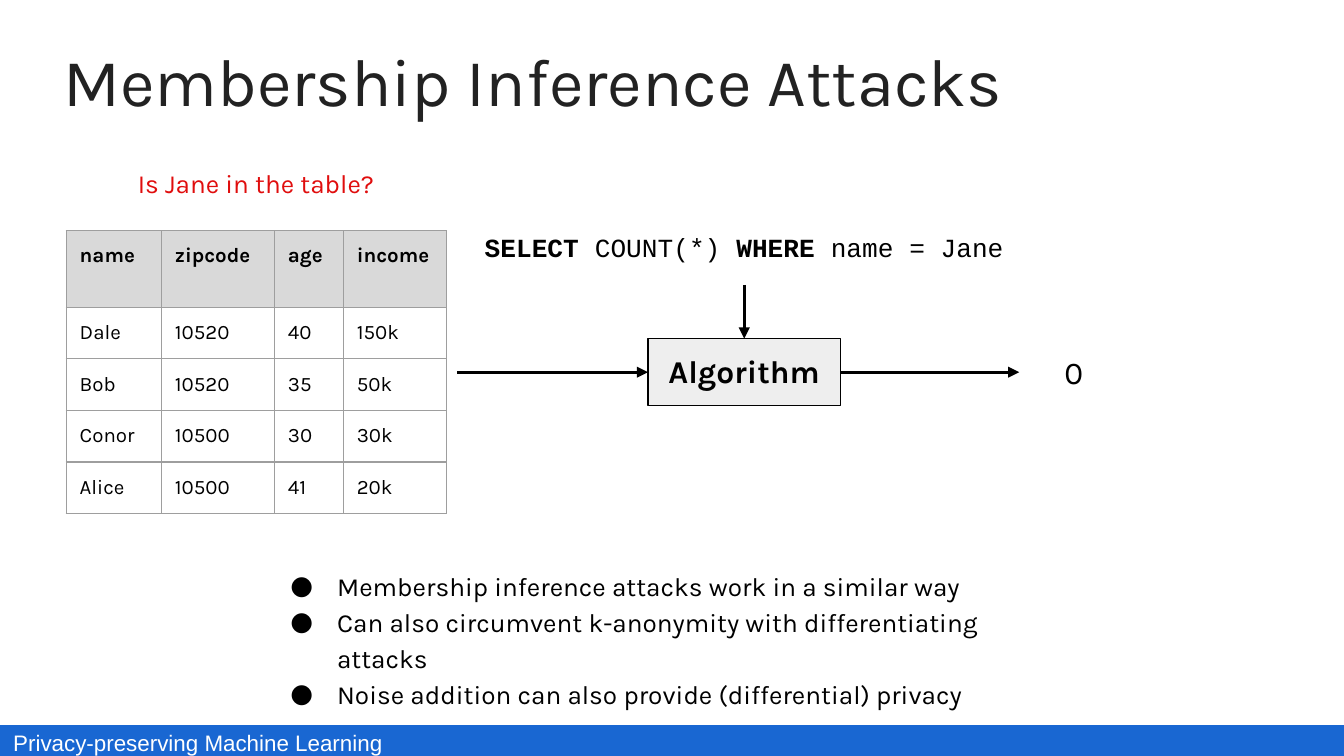
from dataclasses import dataclass

from lxml.etree import SubElement
from pptx import Presentation
from pptx.dml.color import RGBColor
from pptx.enum.shapes import MSO_CONNECTOR as Connector, MSO_SHAPE as Shape
from pptx.enum.text import MSO_ANCHOR as Anchor, PP_ALIGN as Align
from pptx.oxml.ns import qn
from pptx.util import Pt


@dataclass(frozen=True)
class Theme:
    body: str = "Karla"
    code: str = "Courier New"
    footer: str = "Arial"
    black: str = "000000"
    white: str = "FFFFFF"
    title_color: str = "222222"
    question_color: str = "E00D0D"
    footer_fill: str = "1967D2"
    box_fill: str = "EEEEEE"
    header_fill: str = "D9D9D9"
    grid: str = "9E9E9E"
    title_size: float = 36
    box_size: float = 17
    text_size: float = 14
    footer_size: float = 12
    table_size: float = 11
    inset: float = 7.2
    thin: float = 0.75
    arrow: float = 1.5


THEME = Theme()

TITLE = "Membership Inference Attacks"
FOOTER = "Privacy-preserving Machine Learning"
QUESTION = "Is Jane in the table?"
QUERY = [("SELECT ", True), ("COUNT(*)", False), (" WHERE ", True), ("name = Jane", False)]
PEOPLE = [
    ("name", "zipcode", "age", "income"),
    ("Dale", "10520", "40", "150k"),
    ("Bob", "10520", "35", "50k"),
    ("Conor", "10500", "30", "30k"),
    ("Alice", "10500", "41", "20k"),
]
POINTS = [
    "Membership inference attacks work in a similar way",
    "Can also circumvent k-anonymity with differentiating attacks",
    "Noise addition can also provide (differential) privacy",
]

SLIDE_WIDTH, SLIDE_HEIGHT = 720, 405
FOOTER_HEIGHT = 16.2
TABLE_LEFT, TABLE_TOP = 35.5, 123.6
COLUMN_WIDTHS = [51, 60.6, 36.9, 55.3]
HEADER_HEIGHT, ROW_HEIGHT = 41, 27.5
BOX = (347.2, 181.4, 103, 36)


def color(value):
    return RGBColor.from_string(value)


def format_run(run, size, font=THEME.body, ink=THEME.black, bold=False):
    run.font.size = Pt(size)
    run.font.name = font
    run.font.color.rgb = color(ink)
    run.font.bold = bold


def set_margins(target):
    """Give a text frame or a table cell the same inset on all sides."""
    target.margin_left = target.margin_right = Pt(THEME.inset)
    target.margin_top = target.margin_bottom = Pt(THEME.inset)


def write(shape, lines, size, align=Align.LEFT, anchor=Anchor.TOP, spacing=None, **style):
    """Fill a shape with paragraphs; each line is a list of (text, bold) runs."""
    frame = shape.text_frame
    frame.word_wrap = True
    frame.vertical_anchor = anchor
    set_margins(frame)
    for index, runs in enumerate(lines):
        paragraph = frame.add_paragraph() if index else frame.paragraphs[0]
        paragraph.alignment = align
        if spacing:
            paragraph.line_spacing = spacing
        for text, bold in runs:
            run = paragraph.add_run()
            run.text = text
            format_run(run, size, bold=bold, **style)
    return frame


def add_text(slide, place, lines, size, **options):
    return write(slide.shapes.add_textbox(*map(Pt, place)), lines, size, **options)


def add_rectangle(slide, place, fill, line):
    shape = slide.shapes.add_shape(Shape.RECTANGLE, *map(Pt, place))
    shape.shadow.inherit = False
    shape.fill.solid()
    shape.fill.fore_color.rgb = color(fill)
    shape.line.color.rgb = color(line)
    shape.line.width = Pt(THEME.thin)
    return shape


def add_arrow(slide, *ends):
    arrow = slide.shapes.add_connector(Connector.STRAIGHT, *map(Pt, ends))
    arrow.line.color.rgb = color(THEME.black)
    arrow.line.width = Pt(THEME.arrow)
    SubElement(arrow.line._get_or_add_ln(), qn("a:tailEnd"), type="triangle")
    SubElement(arrow._element.spPr, qn("a:effectLst"))


def add_bullet(paragraph):
    properties = paragraph._p.get_or_add_pPr()
    properties.set("marL", str(Pt(36)))
    properties.set("indent", str(Pt(-25)))
    bullet_color = SubElement(properties, qn("a:buClr"))
    SubElement(bullet_color, qn("a:srgbClr"), val=THEME.black)
    SubElement(properties, qn("a:buFont"), typeface=THEME.body)
    SubElement(properties, qn("a:buChar"), char="●")


def add_borders(cell):
    """Draw all four borders; they must come before the cell's fill."""
    properties = cell._tc.get_or_add_tcPr()
    for side in ("lnL", "lnR", "lnT", "lnB"):
        border = SubElement(properties, qn(f"a:{side}"), w=str(Pt(THEME.thin)))
        fill = SubElement(border, qn("a:solidFill"))
        SubElement(fill, qn("a:srgbClr"), val=THEME.grid)


def add_people_table(slide):
    heights = [HEADER_HEIGHT] + [ROW_HEIGHT] * (len(PEOPLE) - 1)
    place = (TABLE_LEFT, TABLE_TOP, sum(COLUMN_WIDTHS), sum(heights))
    table = slide.shapes.add_table(len(PEOPLE), len(COLUMN_WIDTHS), *map(Pt, place)).table
    for column, width in zip(table.columns, COLUMN_WIDTHS):
        column.width = Pt(width)
    for row_index, (row, height, values) in enumerate(zip(table.rows, heights, PEOPLE)):
        row.height = Pt(height)
        is_header = row_index == 0
        for cell, value in zip(row.cells, values):
            set_margins(cell)
            add_borders(cell)
            if is_header:
                cell.fill.solid()
                cell.fill.fore_color.rgb = color(THEME.header_fill)
            else:
                cell.fill.background()
            cell.text_frame.text = value
            format_run(cell.text_frame.paragraphs[0].runs[0], THEME.table_size, bold=is_header)


def main():
    presentation = Presentation()
    presentation.slide_width, presentation.slide_height = Pt(SLIDE_WIDTH), Pt(SLIDE_HEIGHT)
    slide = presentation.slides.add_slide(presentation.slide_layouts[6])

    footer_place = (0, SLIDE_HEIGHT - FOOTER_HEIGHT, SLIDE_WIDTH, FOOTER_HEIGHT)
    footer = add_rectangle(slide, footer_place, THEME.footer_fill, THEME.footer_fill)
    write(footer, [[(FOOTER, False)]], THEME.footer_size, anchor=Anchor.MIDDLE,
          spacing=1.15, font=THEME.footer, ink=THEME.white)
    add_text(slide, (26.8, 13.7, 676.8, 58.3), [[(TITLE, False)]], THEME.title_size,
             ink=THEME.title_color)

    left, top, width, height = BOX
    center, middle = left + width / 2, top + height / 2
    algorithm = add_rectangle(slide, BOX, THEME.box_fill, THEME.black)
    write(algorithm, [[("Algorithm", True)]], THEME.box_size, align=Align.CENTER)
    add_arrow(slide, 245, middle, left, middle)
    add_people_table(slide)
    add_arrow(slide, center, 152.7, center, top)
    add_text(slide, (234.9, 116.6, 327.6, 36), [QUERY], THEME.text_size,
             align=Align.CENTER, font=THEME.code)
    add_arrow(slide, left + width, middle, 546, middle)
    add_text(slide, (545, 170, 60.5, 58.3), [[("0", False)]], THEME.box_size,
             align=Align.CENTER, anchor=Anchor.MIDDLE)

    points = add_text(slide, (137.5, 296, 445, 68.4), [[(point, False)] for point in POINTS],
                      THEME.text_size, spacing=1.15)
    for paragraph in points.paragraphs:
        add_bullet(paragraph)
    add_text(slide, (60.2, 80, 154, 28), [[(QUESTION, False)]], THEME.text_size,
             align=Align.CENTER, spacing=1.15, ink=THEME.question_color)
    presentation.save("out.pptx")


if __name__ == "__main__":
    main()
